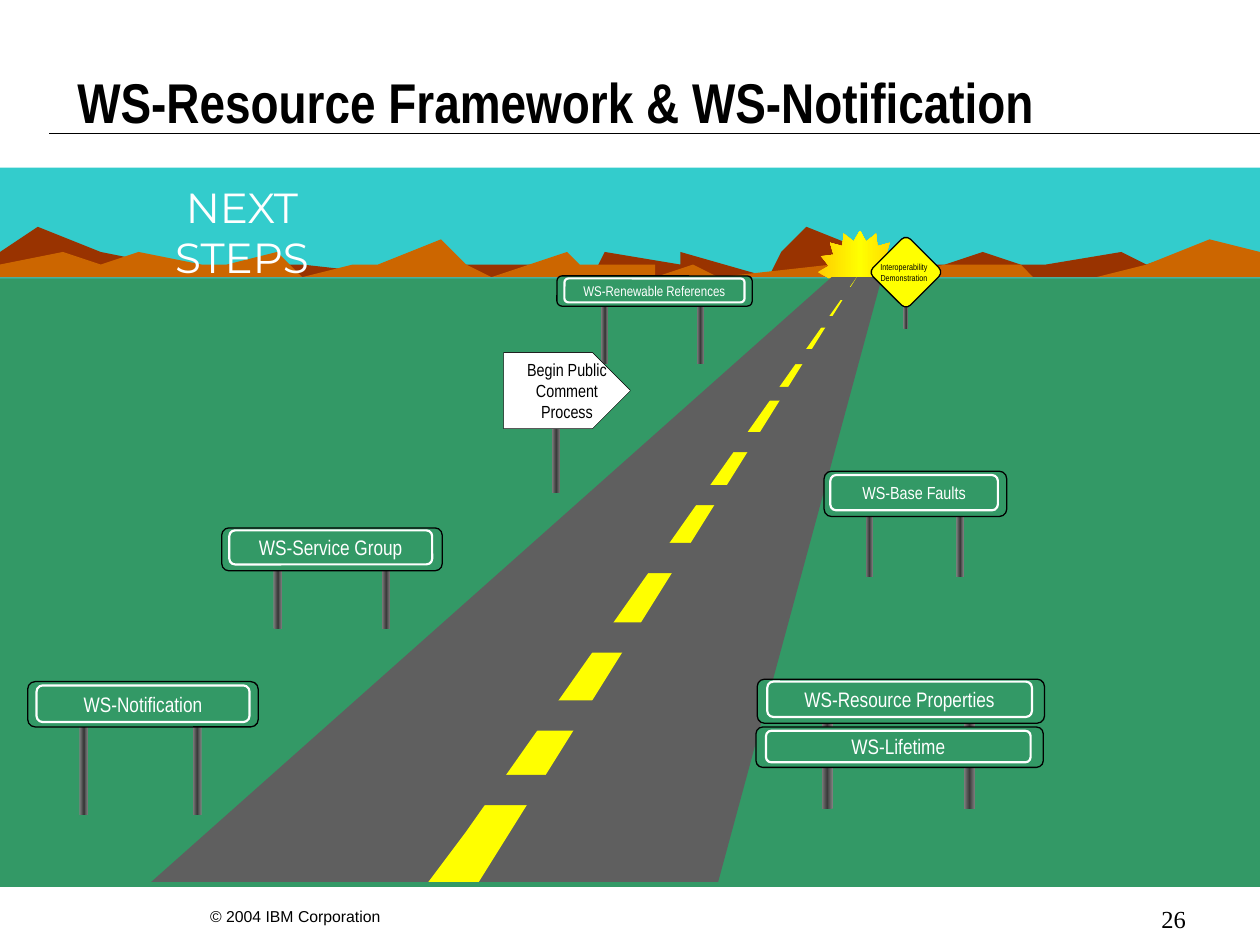
"""Build the road-map slide for WS-Resource Framework and WS-Notification."""
from copy import deepcopy
from dataclasses import dataclass
from typing import NamedTuple, Optional

from lxml import etree
from pptx import Presentation
from pptx import util as u
from pptx.dml.color import RGBColor
from pptx.enum import shapes, text
from pptx.oxml.ns import qn

CELL = u.Inches(0.1)
COLS, ROWS = 100, 75

BLACK = RGBColor(0x00, 0x00, 0x00)
WHITE = RGBColor(0xFF, 0xFF, 0xFF)
SKY = RGBColor(0x33, 0xCC, 0xCC)
FAR_HILLS = RGBColor(0x99, 0x33, 0x00)
NEAR_HILLS = RGBColor(0xCC, 0x66, 0x00)
GRASS = RGBColor(0x33, 0x99, 0x66)
ASPHALT = RGBColor(0x5F, 0x5F, 0x5F)
YELLOW = RGBColor(0xFF, 0xFF, 0x00)
GOLD = RGBColor(0xFF, 0xCC, 0x00)
STEEL = RGBColor(0x80, 0x80, 0x80)
DARK_STEEL = RGBColor(0x3B, 0x3B, 0x3B)

NARROW = "Arial Narrow"
KIND = shapes.MSO_SHAPE
ALIGN = text.PP_ALIGN
ANCHOR = text.MSO_ANCHOR


class Box(NamedTuple):
    """Left, top, width and height in grid cells."""
    x: float
    y: float
    w: float
    h: float

    def emu(self):
        return [round(v * CELL) for v in self]


class Style(NamedTuple):
    """Look of a text."""
    size: float
    font: str = NARROW
    color: RGBColor = BLACK
    bold: bool = False
    align: ALIGN = ALIGN.CENTER


@dataclass
class Sign:
    """Green road sign with an inner panel and optional posts."""
    label: str
    size: float
    board: Box
    panel: Box
    posts: tuple = ()


FAR_RIDGE = [
    (99.1, 21.5), (93.9, 19.8), (91.3, 20.6), (88.6, 19.8), (82.9, 20.7), (80.7, 20.8),
    (77.7, 19.6), (75.4, 21.4), (70.7, 20.7), (68.9, 20.3), (64.4, 18.1), (61.9, 20.2),
    (60.9, 21.5), (54.2, 20), (53.5, 20.9), (47.7, 20.2), (46.8, 21.7), (43.8, 20.9),
    (41.8, 21.1), (33.1, 20.7), (33, 22.3), (24, 20.6), (18.6, 20.8), (18.4, 21.8),
    (12.6, 21.3), (8.3, 20.1), (2.9, 18.1), (-0.1, 19.6), (-0.2, 21.7), (99.6, 22)]
NEAR_RIDGE = [
    (0.1, 20.8), (5.3, 20.3), (8, 21), (10.7, 20.3), (16.3, 21.2), (18.5, 21.3),
    (21.5, 20.1), (23.9, 21.6), (28.5, 21.2), (30.3, 20.8), (34.9, 18.6), (37.4, 20.7),
    (38.6, 21.7), (45.1, 20.4), (45.7, 21.4), (51.6, 20.7), (52.4, 22.1), (55.4, 21.4),
    (57.4, 21.5), (66.1, 21.2), (66.3, 22.7), (75.3, 21), (80.6, 21.3), (81.5, 21.6),
    (86.6, 21.8), (91, 20.6), (96.4, 18.6), (100, 19.9), (100, 22), (0, 22.1)]
ROAD = [(57.1, 70.4), (70.4, 21.9), (66.2, 21.8), (12.2, 70.4)]
CENTER_LINE = [(37.7, 70.1), (68.3, 21.6), (37.1, 65.8), (33.7, 70.1)]
ARROW = [(39.8, 28.1), (47.4, 28.1), (50, 31.1), (47.4, 34.2), (39.8, 34.2)]
ARROW_FACE = [(39.7, 28.2), (47.4, 28.2), (49.9, 31.2), (47.4, 34.3), (39.7, 34.3)]

GAPS = [
    Box(36.6, 61.5, 7.4, 2.4), Box(40.7, 55.6, 7.4, 2.4), Box(45.1, 49.4, 7.4, 2.4),
    Box(49.6, 43.1, 7.4, 2.4), Box(52.9, 38.5, 7.4, 1.6), Box(55.5, 34.3, 7.4, 1.6),
    Box(58.1, 30.7, 7.4, 1.1), Box(60, 27.7, 7.4, 1.2), Box(63, 25.1, 5.5, 0.9),
    Box(65.6, 22.8, 3.5, 1)]

SIGNS = [
    Sign("WS-Base Faults", 10, Box(65.4, 37.4, 14.5, 3.6), Box(65.9, 37.7, 13.3, 2.8),
         (Box(68.7, 39.4, 0.6, 6.4), Box(75.9, 39.4, 0.6, 6.4))),
    Sign("WS-Notification", 12, Box(2.2, 54.1, 18.3, 3.6), Box(2.9, 54.4, 16.9, 2.9),
         (Box(6.3, 56.5, 0.7, 8.2), Box(15.3, 56.5, 0.7, 8.2))),
    Sign("WS-Renewable References", 8, Box(44.2, 21.9, 15.5, 2.4), Box(44.8, 22.1, 14.3, 1.9),
         (Box(47.7, 23.5, 0.6, 5.4), Box(55.3, 23.5, 0.6, 5.4))),
    Sign("WS-Resource Properties", 12, Box(60.1, 53.9, 22.8, 3.5), Box(60.9, 54.1, 21, 2.8),
         (Box(65.2, 56.2, 0.9, 8), Box(76.5, 56.2, 0.9, 8))),
    Sign("WS-Lifetime", 12, Box(60, 57.7, 22.8, 3.2), Box(60.8, 58, 21, 2.5)),
    Sign("WS-Service Group", 12, Box(17.6, 41.9, 17.5, 3.4), Box(18.2, 42.1, 16.1, 2.7),
         (Box(21.7, 43.8, 0.7, 6.1), Box(30.3, 43.8, 0.7, 6.1)))]


def paint(sp, fill: Optional[RGBColor], line: Optional[RGBColor] = None, width: float = 0.75):
    """Set fill and outline and drop the shadow."""
    sp.shadow.inherit = False
    if fill is None:
        sp.fill.background()
    else:
        sp.fill.solid()
        sp.fill.fore_color.rgb = fill
    if line is None:
        sp.line.fill.background()
    else:
        sp.line.color.rgb = line
        sp.line.width = u.Pt(width)
    return sp


def add_shape(s, kind: KIND, box: Box, fill=None, line=None, width: float = 0.75):
    """Add a painted preset shape."""
    return paint(s.shapes.add_shape(kind, *box.emu()), fill, line, width)


def add_outline(s, points: list, fill: RGBColor, line=None):
    """Add a closed polygon through grid points."""
    builder = s.shapes.build_freeform(*points[0], scale=CELL)
    builder.add_line_segments(points[1:], close=True)
    return paint(builder.convert_to_shape(), fill, line)


def add_gradient(s, kind: KIND, box: Box, edge: RGBColor, middle: RGBColor):
    """Add a shape shaded from edge to middle and back."""
    sp = add_shape(s, kind, box)
    sp.fill.gradient()
    sp.fill.gradient_angle = 0
    stops = next(sp._element.spPr.iter(qn("a:gsLst")))
    stops.insert(1, deepcopy(stops[0]))
    for stop, place, color in zip(sp.fill.gradient_stops, (0, 0.5, 1), (edge, middle, edge)):
        stop.position = place
        stop.color.rgb = color
    return sp


def add_post(s, box: Box):
    """Add a steel post."""
    add_gradient(s, KIND.CAN, box, STEEL, DARK_STEEL).adjustments[0] = 0.08


def write(sp, lines: list, style: Style, anchor=ANCHOR.MIDDLE, wrap: bool = False):
    """Write one paragraph per line."""
    tf = sp.text_frame
    tf.word_wrap = wrap
    tf.vertical_anchor = anchor
    for i, line in enumerate(lines):
        p = tf.add_paragraph() if i else tf.paragraphs[0]
        p.alignment = style.align
        r = p.add_run()
        r.text = line
        r.font.size = u.Pt(style.size)
        r.font.name = style.font
        r.font.bold = style.bold
        r.font.color.rgb = style.color


def add_label(s, box: Box, lines: list, style: Style, anchor=ANCHOR.TOP, wrap: bool = False):
    """Add a text box."""
    write(s.shapes.add_textbox(*box.emu()), lines, style, anchor, wrap)


def add_sign(s, sign: Sign):
    """Add posts, board and lettered panel."""
    for post in sign.posts:
        add_post(s, post)
    add_shape(s, KIND.ROUNDED_RECTANGLE, sign.board, GRASS, BLACK)
    panel = add_shape(s, KIND.ROUNDED_RECTANGLE, sign.panel, None, WHITE, 1.25)
    write(panel, [sign.label], Style(sign.size, color=WHITE))


def add_rule(s, x1: float, x2: float, y: float):
    """Add the thin line under the title."""
    rule = s.shapes.add_connector(shapes.MSO_CONNECTOR.STRAIGHT,
                                  *(round(v * CELL) for v in (x1, y, x2, y)))
    rule.line.color.rgb = BLACK
    rule.line.width = u.Pt(0.75)
    etree.SubElement(rule._element.spPr, qn("a:effectLst"))


def main():
    prs = Presentation()
    prs.slide_width, prs.slide_height = COLS * CELL, ROWS * CELL
    s = prs.slides.add_slide(prs.slide_layouts[6])

    add_rule(s, 3.9, COLS, 10.6)
    add_label(s, Box(15.7, 71.5, 16.9, 2.5), ["© 2004 IBM Corporation"],
              Style(9, "Arial", align=ALIGN.LEFT), ANCHOR.MIDDLE)

    add_shape(s, KIND.RECTANGLE, Box(0, 13.3, COLS, 9.1), SKY)
    add_outline(s, FAR_RIDGE, FAR_HILLS)
    add_outline(s, NEAR_RIDGE, NEAR_HILLS)
    add_label(s, Box(9, 13.9, 20.4, 5), ["NEXT STEPS"],
              Style(24, "Montserrat", WHITE), wrap=True)
    add_gradient(s, KIND.STAR_16_POINT, Box(64.9, 18.3, 6.7, 6.6), GOLD, YELLOW)

    add_shape(s, KIND.RECTANGLE, Box(0, 22.1, COLS, 48.3), GRASS)
    add_outline(s, ROAD, ASPHALT)
    add_outline(s, CENTER_LINE, YELLOW)
    for gap in GAPS:
        add_shape(s, KIND.RECTANGLE, gap, ASPHALT)

    for sign in SIGNS:
        add_sign(s, sign)

    add_post(s, Box(43.8, 30.9, 0.7, 8.2))
    add_outline(s, ARROW, WHITE, BLACK)
    write(add_outline(s, ARROW_FACE, WHITE), ["Begin Public", "Comment", "Process"], Style(10))

    add_post(s, Box(71.7, 21.4, 0.4, 4.7))
    diamond = add_shape(s, KIND.ROUNDED_RECTANGLE, Box(69.8, 19.5, 4.2, 4.2), YELLOW, BLACK)
    diamond.adjustments[0] = 0.12
    diamond.rotation = 45
    add_label(s, Box(68.2, 20.3, 7.1, 2.7), ["Interoperability", "Demonstration"], Style(5))

    add_label(s, Box(-4.7, 4.9, 97.7, 6.4), ["WS-Resource Framework & WS-Notification"],
              Style(32, bold=True))
    add_label(s, Box(85.6, 71.7, 9.5, 2.4), ["26"],
              Style(14, "Times New Roman", align=ALIGN.RIGHT), ANCHOR.MIDDLE, True)
    prs.save("out.pptx")


if __name__ == "__main__":
    main()
